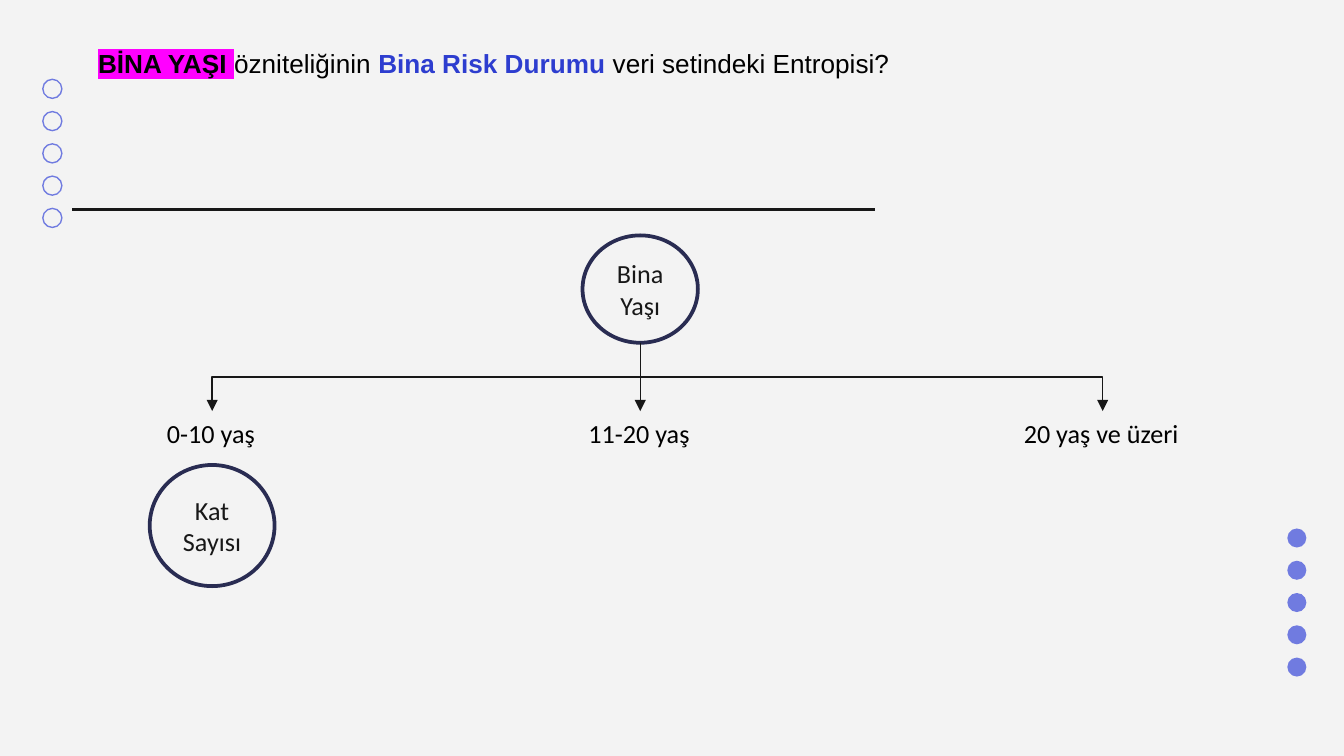
"""Build the building-age decision tree slide."""
from dataclasses import dataclass
from typing import Optional

from lxml.etree import SubElement
from pptx import Presentation
from pptx.dml.color import RGBColor
from pptx.enum.shapes import MSO_CONNECTOR, MSO_SHAPE
from pptx.enum.text import MSO_ANCHOR, MSO_AUTO_SIZE, PP_ALIGN
from pptx.oxml.ns import qn
from pptx.shapes.autoshape import Shape
from pptx.shapes.connector import Connector
from pptx.slide import Slide
from pptx.util import Cm, Pt

BACKGROUND = RGBColor(0xF3, 0xF3, 0xF3)
BLACK = RGBColor(0x00, 0x00, 0x00)
INK = RGBColor(0x17, 0x17, 0x17)
NODE_TEXT = RGBColor(0x18, 0x18, 0x18)
NAVY = RGBColor(0x29, 0x2C, 0x52)
BLUE = RGBColor(0x2D, 0x3D, 0xCF)
PERIWINKLE = RGBColor(0x70, 0x7B, 0xE0)
MAGENTA = RGBColor(0xFF, 0x00, 0xFF)

TEXT_SIZE = Pt(14)
DOT_COUNT, DOT_SIZE, DOT_STEP = 5, 0.36, 0.61
BRANCH_TOP, LABEL_HEIGHT = 7.77, 0.86


@dataclass
class TitlePart:
    text: str
    color: RGBColor = BLACK
    bold: bool = False
    highlight: Optional[RGBColor] = None


@dataclass
class Node:
    text: str
    center: float
    top: float
    width: float
    height: float


@dataclass
class Branch:
    text: str
    center: float
    width: float


@dataclass
class DotColumn:
    left: float
    top: float
    filled: bool


TITLE_PARTS = [
    TitlePart("BİNA YAŞI ", bold=True, highlight=MAGENTA),
    TitlePart("özniteliğinin "),
    TitlePart("Bina Risk Durumu ", BLUE, bold=True),
    TitlePart("veri setindeki Entropisi?"),
]
ROOT = Node("Bina Yaşı", 12.1, 4.45, 2.18, 2.03)
CHILD = Node("Kat Sayısı", 4.01, 8.79, 2.36, 2.29)
BRANCHES = [
    Branch("0-10 yaş", 4.01, 2.21),
    Branch("11-20 yaş", 12.1, 2.46),
    Branch("20 yaş ve üzeri", 20.84, 3.48),
]
DOT_COLUMNS = [DotColumn(0.81, 1.5, False), DotColumn(24.33, 9.99, True)]


def write_title(slide: Slide) -> None:
    title = slide.shapes.title
    title.left, title.top, title.width, title.height = Cm(1.6), Cm(0.76), Cm(17.37), Cm(0.86)
    frame = title.text_frame
    frame.word_wrap = True
    frame.auto_size = MSO_AUTO_SIZE.NONE
    frame.vertical_anchor = MSO_ANCHOR.TOP
    paragraph = frame.paragraphs[0]
    paragraph.alignment = PP_ALIGN.LEFT
    paragraph.font.name, paragraph.font.size = "Arial", TEXT_SIZE
    for part in TITLE_PARTS:
        run = paragraph.add_run()
        run.text = part.text
        run.font.bold = part.bold
        run.font.color.rgb = part.color
        if part.highlight is not None:
            highlight = SubElement(run.font._element, qn("a:highlight"))
            SubElement(highlight, qn("a:srgbClr"), val=str(part.highlight))


def write_text(shape: Shape, text: str, color: RGBColor, alignment: PP_ALIGN) -> None:
    paragraph = shape.text_frame.paragraphs[0]
    paragraph.text = text
    paragraph.alignment = alignment
    paragraph.font.name, paragraph.font.size = "Calibri", TEXT_SIZE
    paragraph.font.color.rgb = color


def add_ellipse(slide: Slide, left: float, top: float, width: float, height: float) -> Shape:
    ellipse = slide.shapes.add_shape(MSO_SHAPE.OVAL, Cm(left), Cm(top), Cm(width), Cm(height))
    ellipse.shadow.inherit = False
    ellipse.fill.background()
    return ellipse


def add_dots(slide: Slide, column: DotColumn) -> None:
    for index in range(DOT_COUNT):
        dot = add_ellipse(slide, column.left, column.top + index * DOT_STEP, DOT_SIZE, DOT_SIZE)
        if column.filled:
            dot.fill.solid()
            dot.fill.fore_color.rgb = PERIWINKLE
            dot.line.fill.background()
        else:
            dot.line.color.rgb = PERIWINKLE
            dot.line.width = Pt(0.75)


def add_node(slide: Slide, node: Node) -> None:
    ellipse = add_ellipse(slide, node.center - node.width / 2, node.top, node.width, node.height)
    ellipse.line.color.rgb = NAVY
    ellipse.line.width = Pt(2)
    ellipse.text_frame.word_wrap = True
    ellipse.text_frame.vertical_anchor = MSO_ANCHOR.MIDDLE
    write_text(ellipse, node.text, NODE_TEXT, PP_ALIGN.CENTER)


def add_line(slide: Slide, kind: MSO_CONNECTOR, begin: tuple[float, float],
             end: tuple[float, float], width: float) -> Connector:
    line = slide.shapes.add_connector(kind, *map(Cm, begin + end))
    line.line.color.rgb = INK
    line.line.width = Pt(width)
    SubElement(line._element.spPr, qn("a:effectLst"))
    return line


def add_branch(slide: Slide, branch: Branch) -> None:
    label = slide.shapes.add_textbox(Cm(branch.center - branch.width / 2), Cm(BRANCH_TOP),
                                     Cm(branch.width), Cm(LABEL_HEIGHT))
    label.text_frame.word_wrap = False
    label.text_frame.auto_size = MSO_AUTO_SIZE.SHAPE_TO_FIT_TEXT
    write_text(label, branch.text, BLACK, PP_ALIGN.LEFT)

    start = ROOT.top + ROOT.height
    drop, reach = BRANCH_TOP - start, abs(branch.center - ROOT.center)
    left = (branch.center + ROOT.center - drop) / 2
    top = (start + BRANCH_TOP - reach) / 2
    goes_right = branch.center > ROOT.center
    begin_x, end_x = (left + drop, left) if goes_right else (left, left + drop)
    arrow = add_line(slide, MSO_CONNECTOR.ELBOW, (begin_x, top), (end_x, top + reach), 0.75)
    degrees = 270 if goes_right else 90
    arrow._element.spPr.find(qn("a:xfrm")).set("rot", str(degrees * 60000))
    SubElement(arrow.line._get_or_add_ln(), qn("a:tailEnd"), type="triangle")


def main() -> None:
    presentation = Presentation()
    presentation.slide_width, presentation.slide_height = Cm(25.4), Cm(14.29)
    slide = presentation.slides.add_slide(presentation.slide_layouts[5])
    slide.background.fill.solid()
    slide.background.fill.fore_color.rgb = BACKGROUND
    for column in DOT_COLUMNS:
        add_dots(slide, column)
    write_title(slide)
    add_line(slide, MSO_CONNECTOR.STRAIGHT, (1.37, 3.96), (16.54, 3.96), 1.5)
    add_node(slide, ROOT)
    for branch in BRANCHES:
        add_branch(slide, branch)
    add_node(slide, CHILD)
    presentation.save("out.pptx")


if __name__ == "__main__":
    main()
